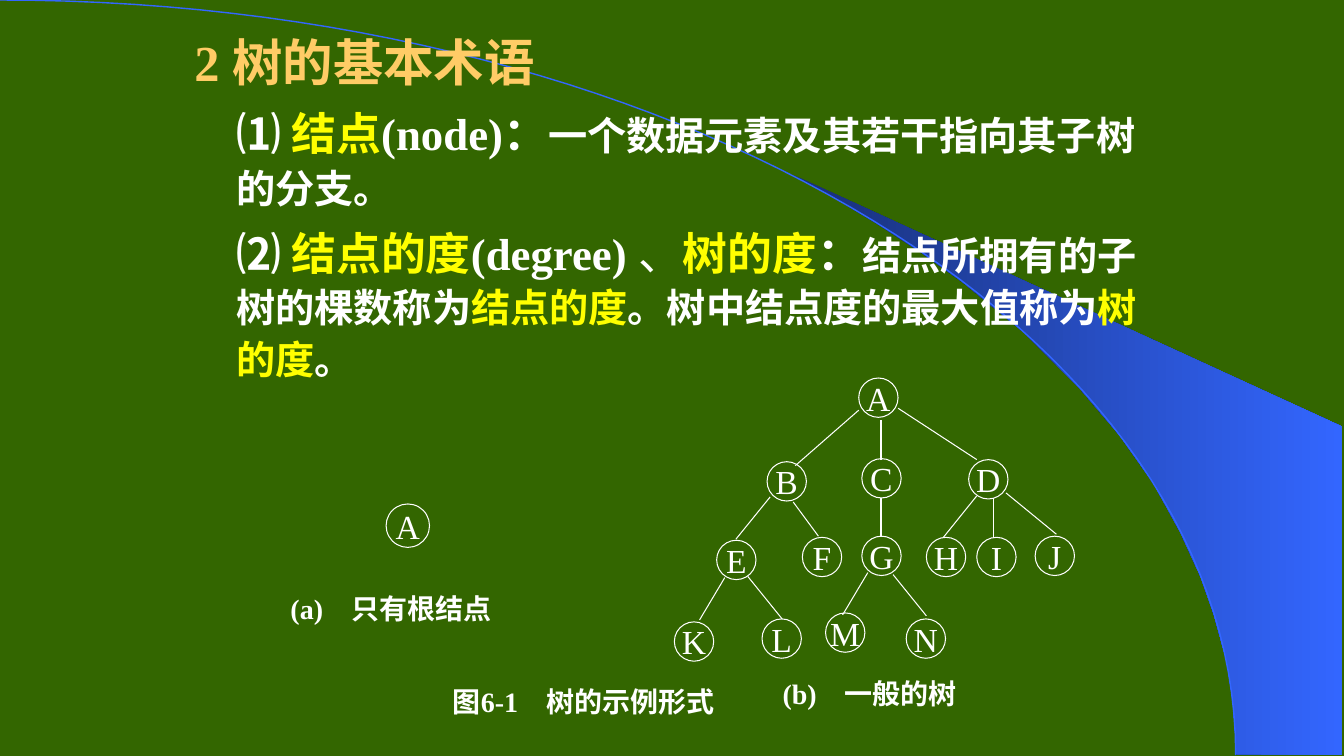
from lxml.etree import SubElement
from pptx import Presentation
from pptx.dml.color import RGBColor
from pptx.enum.shapes import MSO_CONNECTOR, MSO_SHAPE
from pptx.enum.text import MSO_ANCHOR, PP_ALIGN
from pptx.oxml.ns import qn
from pptx.util import Pt

THEME = {
    "bg": "336600", "white": "FFFFFF", "yellow": "FFFF00", "gold": "FFCC66",
    "blue": "3366FF", "navy": "182F76",
    "latin": "Times New Roman", "cjk": "Noto Sans CJK SC", "sans": "Arial",
    "title": 36, "term": 32, "body": 28, "node": 24, "label": 20,
    "thin": 0.75, "curve": 1,
}
LATIN, CJK, SANS = THEME["latin"], THEME["cjk"], THEME["sans"]

TITLE = [("2 ", {"font": LATIN}), ("树的基本术语", {})]
DEFINITIONS = [
    [
        ("⑴", {"size": "term"}),
        (" 结点", {"size": "term", "color": "yellow"}),
        ("(node)", {"size": "term", "font": LATIN}),
        ("：", {"size": "term"}),
        ("一个数据元素及其若干指向其子树的分支。", {}),
    ],
    [
        ("⑵", {"size": "term"}),
        (" 结点的度", {"size": "term", "color": "yellow"}),
        ("(degree) ", {"size": "term", "font": LATIN}),
        ("、", {"size": "term", "bold": False}),
        ("树的度", {"size": "term", "color": "yellow"}),
        ("：", {"size": "term"}),
        ("结点所拥有的子树的棵数称为", {}),
        ("结点的度", {"color": "yellow"}),
        ("。树中结点度的最大值称为", {}),
        ("树的度", {"color": "yellow"}),
        ("。", {}),
    ],
]
LABELS = [
    ((306, 486, 221.8, 30), [("图", {"font": SANS}), ("6-1　", {}), ("树的示例形式", {"font": SANS})]),
    ((192.2, 419.8, 174.2, 30), [("(a)　只有根结点", {})]),
    ((534.2, 480.2, 174.2, 30), [("(b)　", {}), ("一般的树", {"font": SANS})]),
]
ROOT_ONLY = ("A", 275.8, 360)
ROOT_SIZE, NODE_SIZE = 31, 28.1
TREE_NODES = [
    ("A", 613.4, 270), ("B", 547.9, 329.8), ("C", 615.6, 327.6), ("D", 691.9, 328.3),
    ("E", 511.9, 385.9), ("F", 573.1, 383.8), ("G", 615.6, 383), ("H", 661.7, 383.8),
    ("I", 697.7, 383.8), ("J", 739.4, 383), ("K", 481.7, 444.2), ("L", 544.3, 442.1),
    ("M", 589.7, 437.8), ("N", 647.3, 442.1),
]
TREE_EDGES = [
    (613.4, 293, 568.1, 332.6), (629.3, 300.2, 629.3, 328.3), (641.5, 291.6, 697.7, 328.3),
    (550.1, 355, 525.6, 385.2), (566.6, 358.6, 584.6, 383), (629.3, 355.7, 629.3, 383.8),
    (697.7, 354.2, 673.9, 383.8), (709.9, 355.7, 709.9, 383.8), (718.6, 352.1, 754.6, 381.6),
    (517.7, 412.6, 499.7, 442.8), (534.2, 411.8, 558.7, 442.1),
    (619.9, 409, 601.9, 439.2), (637.9, 410.4, 661.7, 439.9),
]
SWOOSH = [
    (883.4, 538.6), (958.3, 539.3), (958.3, 304.6), (565.9, 124.6), (599, 143.3),
    (626.4, 159.8), (657.4, 180), (687.6, 201.6), (731.5, 237.6), (770.4, 276.5),
    (799.2, 310.3), (823.7, 344.9), (843.1, 380.2), (857.5, 411.8), (866.9, 438.5),
    (876.2, 472.3), (880.6, 501.1),
]
ARC = [(0, 0), (487.4, 0), (882.7, 241.2), (882.7, 539.3)]
ARC_STEPS = 60


def rgb(name):
    return RGBColor.from_string(THEME[name])


def write(p, text, size="body", color="white", font=CJK, bold=True):
    r = p.add_run()
    r.text = text
    r.font.size = Pt(THEME[size])
    r.font.bold = bold
    r.font.color.rgb = rgb(color)
    r.font.name = font
    SubElement(r.font._element, qn("a:ea")).set("typeface", CJK)


def add_box(s, left, top, width, height, anchor=MSO_ANCHOR.TOP):
    tf = s.shapes.add_textbox(Pt(left), Pt(top), Pt(width), Pt(height)).text_frame
    tf.word_wrap = True
    tf.vertical_anchor = anchor
    return tf


def add_outline(s, points, close):
    start, *rest = [(Pt(x), Pt(y)) for x, y in points]
    builder = s.shapes.build_freeform(*start)
    builder.add_line_segments(rest, close=close)
    sp = builder.convert_to_shape()
    sp.shadow.inherit = False
    return sp


def bezier(t):
    weights = ((1 - t) ** 3, 3 * t * (1 - t) ** 2, 3 * t * t * (1 - t), t ** 3)
    return tuple(sum(w * pt[axis] for w, pt in zip(weights, ARC)) for axis in (0, 1))


def add_node(s, name, left, top, size):
    sp = s.shapes.add_shape(MSO_SHAPE.OVAL, Pt(left), Pt(top), Pt(size), Pt(size))
    sp.shadow.inherit = False
    sp.fill.background()
    sp.line.color.rgb = rgb("white")
    sp.line.width = Pt(THEME["thin"])
    tf = sp.text_frame
    tf.word_wrap = False
    tf.vertical_anchor = MSO_ANCHOR.MIDDLE
    p = tf.paragraphs[0]
    p.alignment = PP_ALIGN.CENTER
    write(p, name, size="node", font=LATIN, bold=False)


def add_edge(s, x1, y1, x2, y2):
    cx = s.shapes.add_connector(MSO_CONNECTOR.STRAIGHT, Pt(x1), Pt(y1), Pt(x2), Pt(y2))
    cx.line.color.rgb = rgb("white")
    cx.line.width = Pt(THEME["thin"])
    SubElement(cx._element.spPr, qn("a:effectLst"))


def add_background(s):
    s.background.fill.solid()
    s.background.fill.fore_color.rgb = rgb("bg")
    swoosh = add_outline(s, SWOOSH, True)
    swoosh.line.fill.background()
    swoosh.fill.gradient()
    swoosh.fill.gradient_angle = 0
    for stop, name in zip(swoosh.fill.gradient_stops, ("navy", "blue")):
        stop.color.rgb = rgb(name)
    arc = add_outline(s, [bezier(i / ARC_STEPS) for i in range(ARC_STEPS + 1)], False)
    arc.fill.background()
    arc.line.color.rgb = rgb("blue")
    arc.line.width = Pt(THEME["curve"])


def add_definitions(s):
    tf = add_box(s, 131.8, 10.8, 696.2, 265)
    p = tf.paragraphs[0]
    p.line_spacing = Pt(51)
    for text, style in TITLE:
        write(p, text, **{"size": "title", "color": "gold", **style})
    for runs in DEFINITIONS:
        p = tf.add_paragraph()
        p.level = 1
        p.line_spacing = Pt(37)
        p.space_before = Pt(11.5)
        pPr = p._p.get_or_add_pPr()
        pPr.set("marL", str(Pt(30)))
        pPr.set("indent", "0")
        for text, style in runs:
            write(p, text, **style)


def main():
    prs = Presentation()
    prs.slide_width, prs.slide_height = Pt(960), Pt(540)
    s = prs.slides.add_slide(prs.slide_layouts[6])
    add_background(s)
    add_definitions(s)
    for edge in TREE_EDGES:
        add_edge(s, *edge)
    add_node(s, *ROOT_ONLY, ROOT_SIZE)
    for node in TREE_NODES:
        add_node(s, *node, NODE_SIZE)
    for box, runs in LABELS:
        p = add_box(s, *box, anchor=MSO_ANCHOR.MIDDLE).paragraphs[0]
        p.alignment = PP_ALIGN.CENTER
        for text, style in runs:
            write(p, text, **{"size": "label", "font": LATIN, **style})
    prs.save("out.pptx")


if __name__ == "__main__":
    main()
